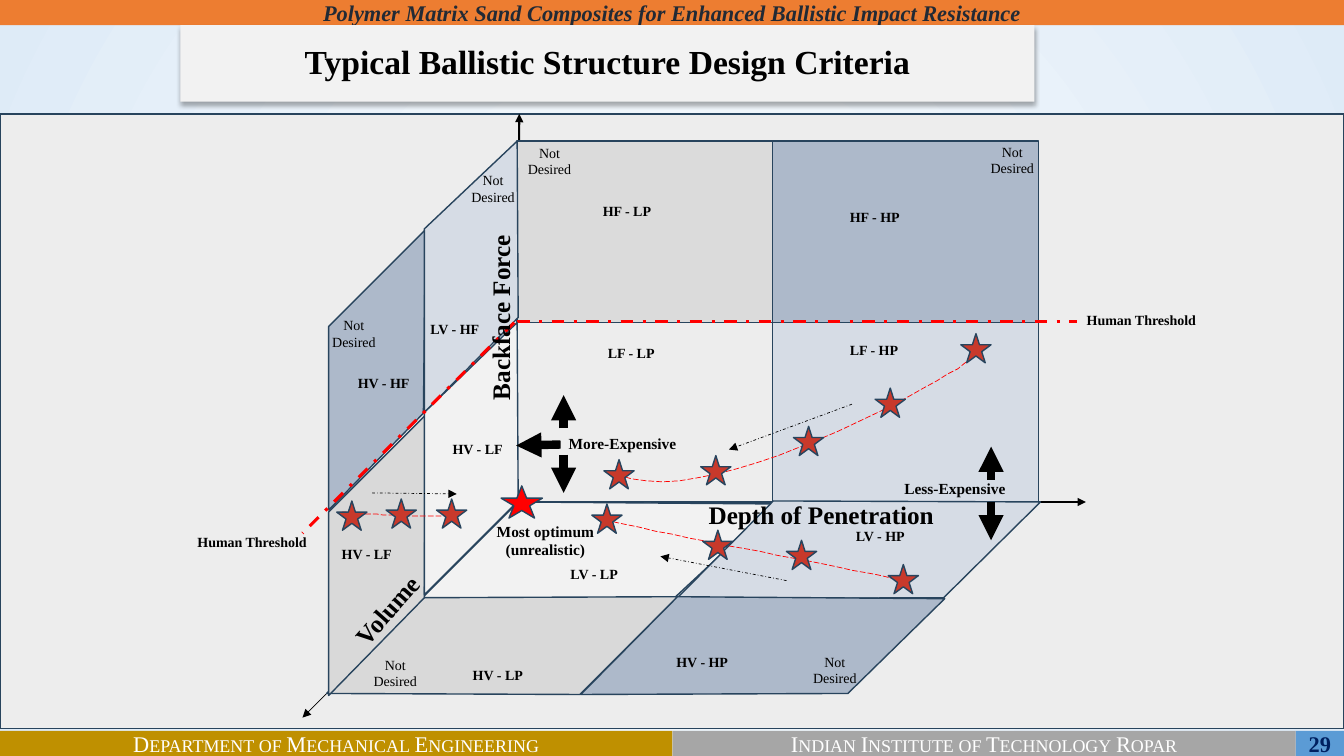
from dataclasses import dataclass

from lxml import etree
from pptx import Presentation
from pptx.dml.color import RGBColor
from pptx.enum.dml import MSO_LINE
from pptx.enum.shapes import MSO_CONNECTOR, MSO_SHAPE
from pptx.enum.text import MSO_ANCHOR, MSO_AUTO_SIZE, PP_ALIGN
from pptx.oxml import parse_xml
from pptx.oxml.ns import nsdecls, qn
from pptx.util import Pt

PX = 9144  # EMU in one px, 100 px to the inch
WIDTH, HEIGHT = 1333, 750


@dataclass(frozen=True)
class Theme:
    font: str = "Times New Roman"
    black: str = "000000"
    white: str = "FFFFFF"
    navy: str = "002060"
    ink: str = "222A35"
    outline: str = "28445D"
    orange: str = "ED7D31"
    gold: str = "BF9000"
    grey: str = "A6A6A6"
    blue: str = "5B9BD5"
    canvas: str = "EDEDED"
    neutral: str = "F2F2F2"
    dim: str = "DBDBDB"
    dim_side: str = "D9D9D9"
    steel: str = "ADB9CA"
    pale: str = "D6DCE5"
    red: str = "FF0000"
    star: str = "C8392B"
    glow: tuple = ((0, "DEEBF7"), (13, "F7FAFD"), (100, "DEEBF7"))
    title: int = 24
    axis: int = 18
    bar: int = 16
    note: int = 11
    label: int = 10


def write(frame, text, size, color, font, bold=False, italic=False,
          small_caps=False, align=PP_ALIGN.LEFT, spacing=None):
    frame.word_wrap = True
    for index, words in enumerate(text.split("\n")):
        paragraph = frame.add_paragraph() if index else frame.paragraphs[0]
        paragraph.alignment = align
        if spacing:
            paragraph.line_spacing = spacing
        run = paragraph.add_run()
        run.text = words
        run.font.name, run.font.size = font, Pt(size)
        run.font.bold, run.font.italic = bold, italic
        run.font.color.rgb = RGBColor.from_string(color)
        if small_caps:
            run.font._element.set("cap", "small")


def bezier(start, pull_start, pull_end, end, steps=24):
    """Points along a cubic curve, in whole px."""
    points = []
    for step in range(steps + 1):
        t = step / steps
        weights = ((1 - t) ** 3, 3 * t * (1 - t) ** 2, 3 * t * t * (1 - t), t ** 3)
        points.append(tuple(round(sum(w * p for w, p in zip(weights, axis)))
                            for axis in zip(start, pull_start, pull_end, end)))
    return points


class Painter:
    def __init__(self, slide, theme):
        self.slide, self.theme = slide, theme

    def background(self):
        self.slide.background.fill.gradient()
        gradient = self.slide._element.find(".//" + qn("a:gradFill"))
        stops = "".join(f'<a:gs pos="{at * 1000}"><a:srgbClr val="{color}"/></a:gs>'
                        for at, color in self.theme.glow)
        gradient.getparent().replace(gradient, parse_xml(
            f'<a:gradFill {nsdecls("a")} rotWithShape="1"><a:gsLst>{stops}</a:gsLst>'
            '<a:path path="circle"><a:fillToRect l="50000" t="50000" r="50000" b="50000"/>'
            '</a:path></a:gradFill>'))

    def style(self, shape, fill, outline=None, weight=1, dash=None):
        shape.shadow.inherit = False
        if fill:
            shape.fill.solid()
            shape.fill.fore_color.rgb = RGBColor.from_string(fill)
        else:
            shape.fill.background()
        if outline:
            self.stroke(shape.line, outline, weight, dash)
        else:
            shape.line.fill.background()
        return shape

    def stroke(self, line, color, weight, dash):
        line.color.rgb = RGBColor.from_string(color)
        line.width = Pt(weight)
        if dash:
            line.dash_style = dash

    def block(self, box, fill, outline=None, preset=MSO_SHAPE.RECTANGLE):
        shape = self.slide.shapes.add_shape(preset, *(v * PX for v in box))
        return self.style(shape, fill, outline)

    def bar(self, box, fill, text, size, color, **form):
        shape = self.block(box, fill)
        shape.text_frame.vertical_anchor = MSO_ANCHOR.MIDDLE
        write(shape.text_frame, text, size, color, self.theme.font,
              align=PP_ALIGN.CENTER, **form)
        return shape

    def drop_shadow(self, shape):
        effects = shape._element.spPr.find(qn("a:effectLst"))
        effects.append(parse_xml(
            f'<a:outerShdw {nsdecls("a")} blurRad="{Pt(3.5)}" dist="{Pt(2.2)}" '
            'dir="5400000" algn="t" rotWithShape="0"><a:srgbClr val="000000">'
            '<a:alpha val="32000"/></a:srgbClr></a:outerShdw>'))

    def text(self, box, text, size, rotation=0, bold=True, **form):
        shape = self.slide.shapes.add_textbox(*(v * PX for v in box))
        shape.rotation = rotation
        shape.text_frame.auto_size = MSO_AUTO_SIZE.SHAPE_TO_FIT_TEXT
        write(shape.text_frame, text, size, self.theme.black, self.theme.font,
              bold=bold, **form)

    def line(self, start, end, color, weight, dash=None, arrow=False):
        line = self.slide.shapes.add_connector(
            MSO_CONNECTOR.STRAIGHT, *(v * PX for v in (*start, *end)))
        self.stroke(line.line, color, weight, dash)
        if arrow:
            etree.SubElement(line.line._get_or_add_ln(), qn("a:tailEnd"), type="triangle")
        etree.SubElement(line._element.spPr, qn("a:effectLst"))
        return line

    def outline(self, points, close):
        builder = self.slide.shapes.build_freeform(*points[0], scale=PX)
        builder.add_line_segments(points[1:], close=close)
        return builder.convert_to_shape()

    def panel(self, fill, *corners):
        self.style(self.outline(corners, True), fill, self.theme.outline)

    def trend(self, curve, stars):
        """A dashed red curve with stars at the given left and top px."""
        self.style(self.outline(bezier(*curve), False), None, self.theme.red, 0.5,
                   MSO_LINE.LONG_DASH)
        for left, top in stars:
            self.block((left, top, 30, 29), self.theme.star, self.theme.outline,
                       MSO_SHAPE.STAR_5_POINT)


def draw_frame(p, t):
    p.background()
    p.bar((0, 725, 667, 25), t.gold, "Department of Mechanical Engineering",
          t.bar, t.white, small_caps=True)
    p.bar((1285, 725, 48, 25), t.blue, "29", t.bar, t.navy, bold=True)
    p.bar((0, 0, WIDTH, 25), t.orange,
          "Polymer Matrix Sand Composites for Enhanced Ballistic Impact Resistance",
          t.bar, t.ink, bold=True, italic=True)
    p.bar((667, 725, 618, 25), t.grey, "Indian Institute of Technology Ropar",
          t.bar, t.white, small_caps=True)
    p.drop_shadow(p.bar((179, 25, 847, 76), t.neutral,
                        "Typical Ballistic Structure Design Criteria",
                        t.title, t.black, bold=True, spacing=0.9))
    p.block((0, 113, WIDTH, 610), t.canvas, t.outline)


def draw_walls(p, t):
    origin = (513, 498)
    for tip, weight in (((515, 113), 1.5), ((1077, 498), 1.5), ((300, 712), 0.5)):
        p.line(origin, tip, t.black, weight, arrow=True)

    high_force = p.block((513, 140, 253, 358), t.dim, t.outline)
    p.block((766, 140, 264, 358), t.steel, t.outline)
    p.block((513, 320, 253, 178), t.canvas, t.outline)
    p.block((766, 320, 264, 178), t.pale, t.outline)
    p.line((416, 594), (934, 594), t.blue, 0.5)
    threshold = p.line((513, 319), (1068, 319), t.red, 2.25, MSO_LINE.DASH_DOT)
    threshold.begin_connect(high_force, 1)

    p.panel(t.neutral, (419, 593), (514, 498), (769, 500), (669, 593))
    p.panel(t.pale, (671, 594), (767, 497), (1032, 498), (936, 593))
    p.text((693, 490, 253, 40), "Depth of Penetration", t.axis)
    p.panel(t.dim_side, (324, 688), (420, 593), (672, 592), (575, 689))
    p.panel(t.steel, (576, 689), (672, 592), (937, 594), (841, 688))
    p.panel(t.dim_side, (326, 690), (326, 508), (422, 412), (421, 593))
    p.panel(t.neutral, (421, 590), (421, 409), (513, 320), (514, 497))
    p.text((331, 580, 114, 40), "Volume", t.axis, rotation=311.5)
    p.panel(t.steel, (326, 506), (326, 324), (422, 228), (420, 410))
    p.panel(t.pale, (421, 409), (421, 227), (513, 140), (514, 315))
    p.line((510, 320), (300, 529), t.red, 2.25, MSO_LINE.DASH_DOT)
    p.text((393, 284, 206, 40), "Backface Force", t.axis, rotation=270)


def draw_trends(p, t):
    p.block((497, 482, 41, 32), t.red, t.outline, MSO_SHAPE.STAR_5_POINT)
    p.trend(((962, 354), (981, 354), (711, 512), (613, 471)),
            ((953, 331), (868, 385), (787, 423), (695, 452), (599, 456)))
    p.trend(((894, 577), (913, 577), (692, 537), (592, 514)),
            ((881, 560), (780, 536), (697, 526), (587, 500)))
    p.trend(((339, 508), (333, 508), (417, 514), (448, 512)),
            ((334, 497), (383, 495), (433, 495)))
    for start, end in (((845, 401), (723, 446)), ((780, 576), (655, 552)),
                       ((369, 489), (453, 490))):
        p.line(start, end, t.black, 0.5, MSO_LINE.DASH_DOT, arrow=True)


def draw_labels(p, t):
    for left, top, zone in (
            (833, 334, "LF - HP"), (833, 202, "HF - HP"), (588, 196, "HF - LP"),
            (593, 337, "LF - LP"), (329, 536, "HV - LF"), (839, 518, "LV - HP"),
            (556, 556, "LV - LP"), (661, 643, "HV - HP"), (459, 656, "HV - LP"),
            (439, 432, "HV - LF"), (345, 367, "HV - HF"), (417, 313, "LV - HF"),
            (1068, 304, "Human Threshold"), (186, 524, "Human Threshold")):
        p.text((left, top, 132, 27), zone, t.label)
    for left, top in ((967, 137), (508, 138), (314, 309), (355, 646), (791, 643), (452, 165)):
        p.text((left, top, 74, 44), "Not Desired", t.label, bold=False,
               align=PP_ALIGN.CENTER)
    p.text((479, 513, 124, 47), "Most optimum\n(unrealistic)", t.note,
           align=PP_ALIGN.CENTER)
    p.text((887, 470, 228, 29), "Less-Expensive", t.note)
    p.text((554, 426, 228, 29), "More-Expensive", t.note)
    for start, end in (((983, 476), (983, 443)), ((983, 498), (983, 536)),
                       ((559, 425), (559, 392)), ((559, 451), (559, 489)),
                       ((556, 441), (512, 442))):
        p.line(start, end, t.black, 6, arrow=True)


def main():
    deck = Presentation()
    deck.slide_width, deck.slide_height = WIDTH * PX, HEIGHT * PX
    theme = Theme()
    painter = Painter(deck.slides.add_slide(deck.slide_layouts[6]), theme)
    for draw in (draw_frame, draw_walls, draw_trends, draw_labels):
        draw(painter, theme)
    deck.save("out.pptx")


if __name__ == "__main__":
    main()
